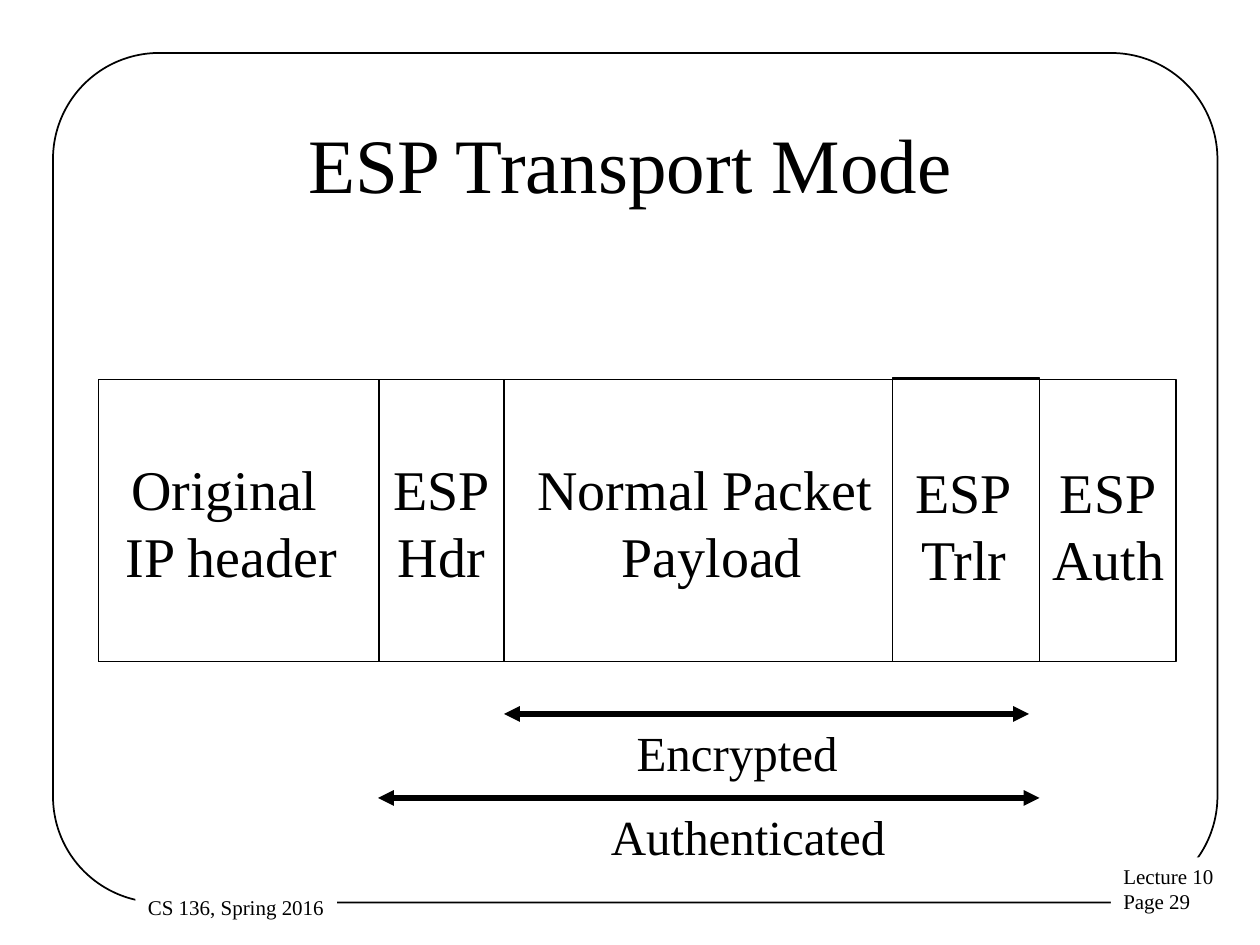
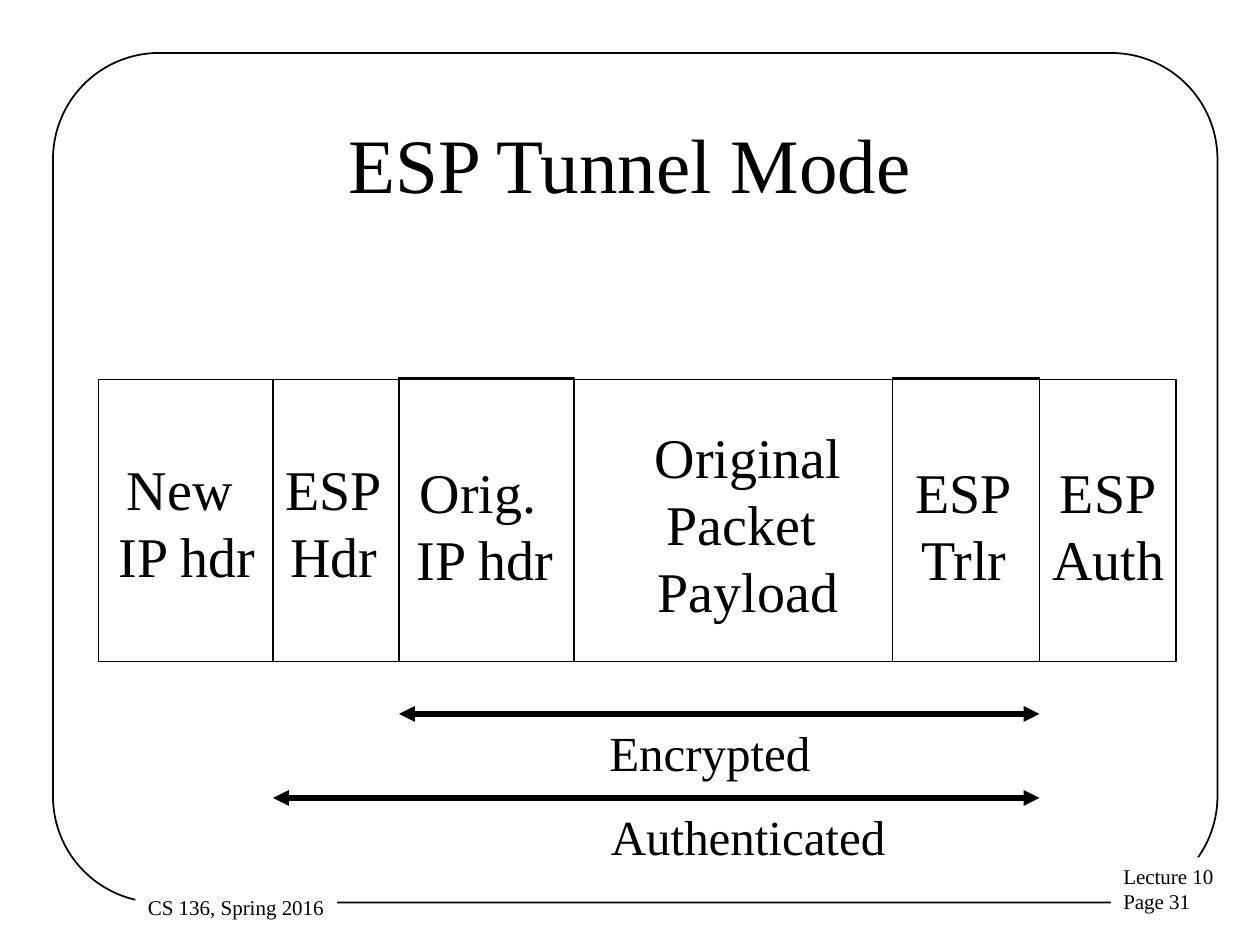
"""Build two slides that compare ESP transport mode and ESP tunnel mode."""
from pptx import Presentation, util as u
from pptx.dml.color import RGBColor
from pptx.enum import shapes, text
from pptx.oxml.ns import qn
from lxml import etree

COL = {"ink": "000000", "paper": "FFFFFF"}
FONT = "Times New Roman"
UNIT = u.Inches(1) / 12
LEFT, RIGHT, TOP, BASE = 9.38, 112, 36.15, 63
SPARE = 4
LINES = {"Encrypted": 68, "Authenticated": 76}
KIND = shapes.MSO_SHAPE
MID = text.PP_ALIGN.CENTER


def grid(*nums):
    return [u.Emu(round(n * UNIT)) for n in nums]


def write(shape, words, size, align=None, wrap=False):
    frame = shape.text_frame
    frame.text = words
    frame.word_wrap = wrap
    for para in frame.paragraphs:
        para.alignment = align
        for run in para.runs:
            run.font.name = FONT
            run.font.size = u.Pt(size)
            run.font.color.rgb = RGBColor.from_string(COL["ink"])


# Each cell: words, left, right, box top (None: no own box), text centre, text top
TAIL = [("ESP\nTrlr", 85, 99, 36, 91.8, 43),
        ("ESP\nAuth", 99, RIGHT, None, 105.55, 43)]
MODES = [
    {"title": "ESP Transport Mode", "page": 29,
     "cells": [("Original \nIP header", LEFT, 36.1, TOP, 22.05, 42.7),
               ("ESP\nHdr", 36.1, 48, TOP, 42.05, 42.7),
               ("Normal Packet \nPayload", 48, 85, None, 67.8, 42.7)] + TAIL,
     "spans": [("Encrypted", 48, 98, 59.45), ("Authenticated", 36, 99, 57)]},
    {"title": "ESP Tunnel Mode", "page": 31,
     "cells": [("New \nIP hdr", LEFT, 26, TOP, 17.8, 42.7),
               ("ESP\nHdr", 26, 38, TOP, 31.8, 42.7),
               ("Orig. \nIP hdr", 38, 54.65, 36, 46.2, 43),
               ("Original\nPacket \nPayload", 54.65, 85, None, 71.25, 39.6)] + TAIL,
     "spans": [("Encrypted", 38, 99, 56.85), ("Authenticated", 26, 99, 57)]},
]

deck = Presentation()
deck.slide_width, deck.slide_height = grid(120, 90)

for mode in MODES:
    slide = deck.slides.add_slide(deck.slide_layouts[5])
    draw = slide.shapes
    title = draw.title
    title.left, title.top, title.width, title.height = grid(9, 8, 102, 15)
    title.text_frame.vertical_anchor = text.MSO_ANCHOR.MIDDLE
    write(title, mode["title"], 44, MID, True)

    rects = [(KIND.ROUNDED_RECTANGLE, 5.05, 5.05, 110.9, 80.9)]
    notes = [(f"Lecture 10\nPage {mode['page']}", 105.8, 81.65, 15.2, 6),
             ("CS 136, Spring 2016", 12.9, 84.6, 19.2, 3.6)]
    rects.append((KIND.RECTANGLE, LEFT, TOP, RIGHT - LEFT, BASE - TOP))
    for words, left, right, top, mid, high in mode["cells"]:
        if top:
            rects.append((KIND.RECTANGLE, left, top, right - left, BASE - top))
    for kind, *place in rects:
        box = draw.add_shape(kind, *grid(*place))
        box.shadow.inherit = False
        box.fill.background()
        box.line.color.rgb = RGBColor.from_string(COL["ink"])
        box.line.width = u.Pt(1)
        if kind == KIND.ROUNDED_RECTANGLE:
            box.adjustments[0] = 0.125

    for words, *place in notes:
        note = draw.add_textbox(*grid(*place))
        note.fill.solid()
        note.fill.fore_color.rgb = RGBColor.from_string(COL["paper"])
        write(note, words, 12)

    for words, left, right, top, mid, high in mode["cells"]:
        wide = right - left + SPARE
        label = draw.add_textbox(*grid(mid - wide / 2, high, wide, 14))
        write(label, words, 32, MID)

    for words, start, end, left in mode["spans"]:
        row = LINES[words]
        line = draw.add_connector(shapes.MSO_CONNECTOR.STRAIGHT,
                                  *grid(start, row, end, row))
        line.line.color.rgb = RGBColor.from_string(COL["ink"])
        line.line.width = u.Pt(3)
        props = line._element.spPr
        etree.SubElement(props, qn("a:effectLst"))
        for tip in ("a:headEnd", "a:tailEnd"):
            etree.SubElement(props.find(qn("a:ln")), qn(tip), type="triangle")
        label = draw.add_textbox(*grid(left, row + 0.2, 28 + SPARE, 6.8))
        write(label, words, 28, text.PP_ALIGN.LEFT, True)

deck.save("out.pptx")
